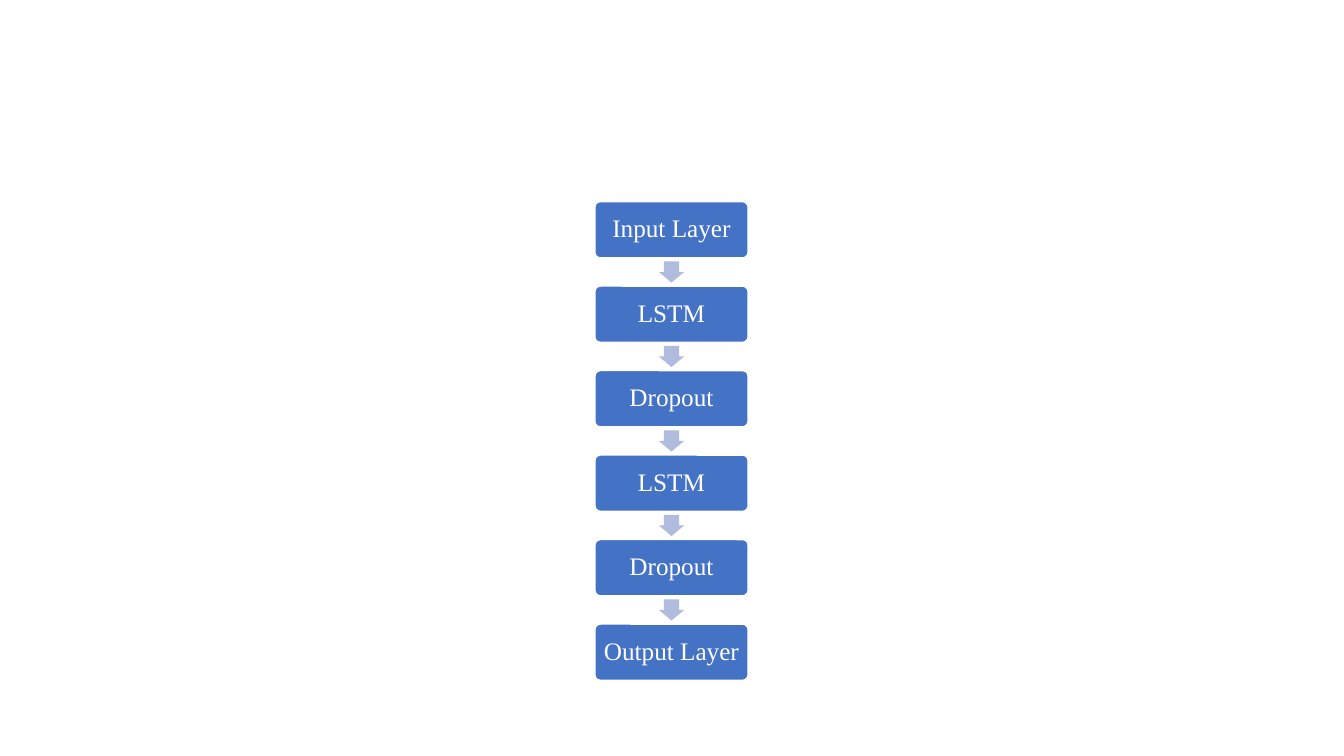
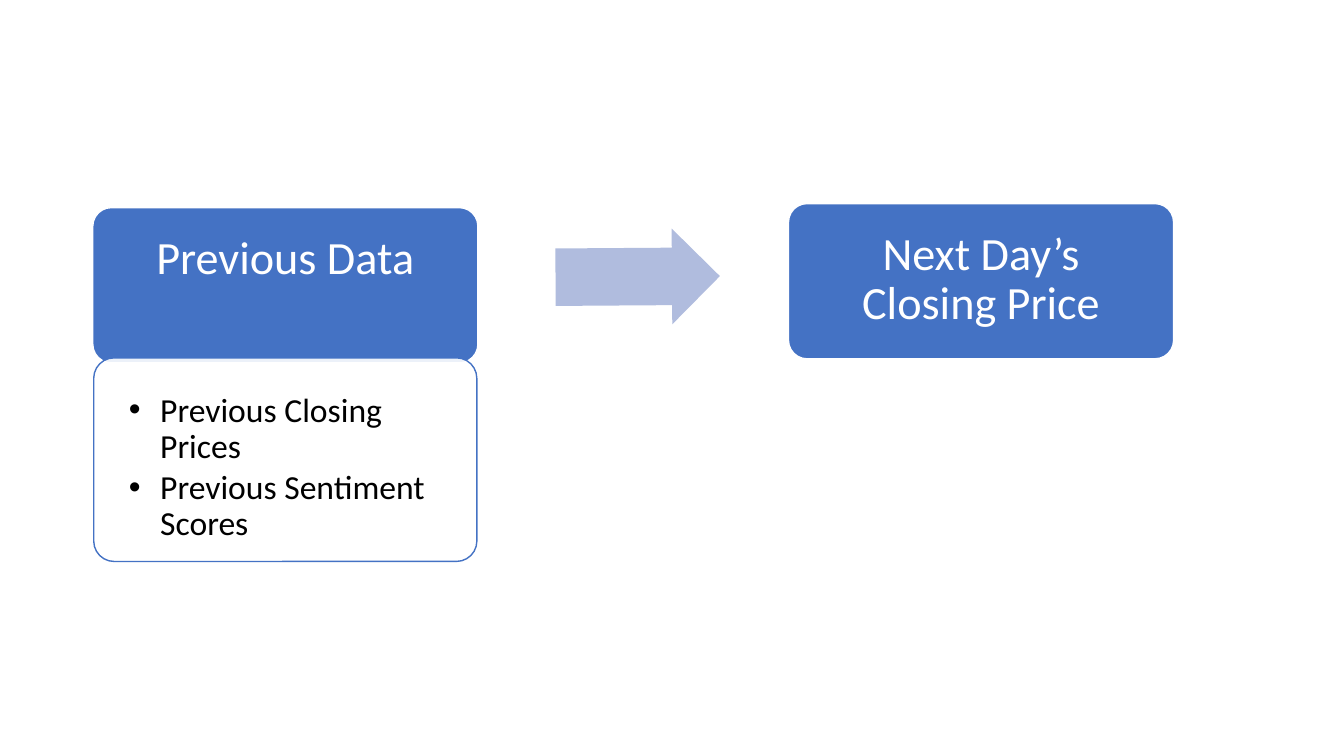
from lxml.etree import SubElement
from pptx import Presentation
from pptx.dml.color import RGBColor
from pptx.enum.shapes import MSO_SHAPE as Preset
from pptx.enum.text import MSO_ANCHOR as Anchor, PP_ALIGN as Align
from pptx.oxml.ns import qn
from pptx.util import Inches, Pt

# Shared look
BLUE, PALE_BLUE, WHITE, BLACK = "4472C4", "B0BCDE", "FFFFFF", "000000"
SERIF, SANS = "Times New Roman", "Calibri"
BLANK_LAYOUT = 6
LINE_SPACING = 0.9


def color(hex_text):
    return RGBColor.from_string(hex_text)


def add_block(slide, preset, box, fill, line=None, adjustments=()):
    """Draw a preset shape in box (left, top, width, height in inches)."""
    shape = slide.shapes.add_shape(preset, *map(Inches, box))
    shape.shadow.inherit = False
    shape.fill.solid()
    shape.fill.fore_color.rgb = color(fill)
    if line:
        shape.line.color.rgb = color(line)
        shape.line.width = Pt(1)
    else:
        shape.line.fill.background()
    for index, value in enumerate(adjustments):
        shape.adjustments[index] = value
    return shape


def set_text(shape, text, font, size, ink=WHITE, align=Align.CENTER,
             anchor=Anchor.MIDDLE, inset=0.05):
    frame = shape.text_frame
    frame.text = text
    frame.word_wrap = True
    frame.vertical_anchor = anchor
    frame.margin_left = frame.margin_right = Inches(inset)
    frame.margin_top = frame.margin_bottom = Inches(inset)
    for paragraph in frame.paragraphs:
        paragraph.alignment = align
        paragraph.line_spacing = LINE_SPACING
        for run in paragraph.runs:
            run.font.name = font
            run.font.size = Pt(size)
            run.font.color.rgb = color(ink)


def add_bullets(shape, indent, space_after):
    for paragraph in shape.text_frame.paragraphs:
        paragraph.space_after = Pt(space_after)
        properties = paragraph._p.get_or_add_pPr()
        properties.set("marL", str(Inches(indent)))
        properties.set("indent", str(-Inches(indent)))
        SubElement(properties, qn("a:buFont")).set("typeface", "Arial")
        SubElement(properties, qn("a:buChar")).set("char", "•")


def set_opacity(shape, percent):
    fill_color = shape.fill._xPr.find(qn("a:solidFill"))[0]
    SubElement(fill_color, qn("a:alpha")).set("val", str(percent * 1000))


def add_layer_stack(slide, box, layers):
    """Stack equal layer boxes, with a down arrow in the middle of each gap."""
    left, top, width, height = box
    gap_share = 0.5
    layer_height = height / (len(layers) + gap_share * (len(layers) - 1))
    gap = layer_height * gap_share
    arrow_width, arrow_height = 0.25, 0.21
    for index, layer in enumerate(layers):
        layer_top = top + index * (layer_height + gap)
        shape = add_block(slide, Preset.ROUNDED_RECTANGLE,
                          (left, layer_top, width, layer_height), BLUE, WHITE, [0.1])
        set_text(shape, layer, SERIF, 18)
        if index:
            add_block(slide, Preset.DOWN_ARROW,
                      (left + (width - arrow_width) / 2,
                       layer_top - (gap + arrow_height) / 2,
                       arrow_width, arrow_height), PALE_BLUE, adjustments=[0.6, 0.5])


def add_heading(slide, box, text):
    shape = add_block(slide, Preset.ROUNDED_RECTANGLE, box, BLUE, WHITE, [0.12])
    set_text(shape, text, SANS, 33, anchor=Anchor.TOP, inset=0.21)


def add_prediction_flow(slide, box, source, details, result):
    """Source heading and its details on the left, arrow, result on the right."""
    left, top, width, height = box
    card_width, heading_height, details_height = 3.82, 1.54, 2.02
    # The source heading sits a little lower than the result
    add_heading(slide, (left, top + 0.04, card_width, heading_height), source)
    details_box = add_block(
        slide, Preset.ROUNDED_RECTANGLE,
        (left + 0.01, top + height - details_height, card_width - 0.02, details_height),
        WHITE, BLUE, [0.1])
    set_opacity(details_box, 90)
    set_text(details_box, "\n".join(details), SANS, 24, BLACK, Align.LEFT,
             Anchor.TOP, inset=0.29)
    add_bullets(details_box, 0.31, 3.6)
    # Arrow between the cards, tilted slightly upwards
    arrow = add_block(slide, Preset.RIGHT_ARROW, (left + 4.59, top + 0.25, 1.63, 0.95),
                      PALE_BLUE, adjustments=[0.6, 0.5])
    arrow.rotation = -0.4
    add_heading(slide, (left + width - card_width, top, card_width, heading_height), result)


def main():
    presentation = Presentation()
    presentation.slide_width = Inches(13.33)
    presentation.slide_height = Inches(7.5)
    blank = presentation.slide_layouts[BLANK_LAYOUT]

    # Network layers
    add_layer_stack(presentation.slides.add_slide(blank), (5.9, 2, 1.52, 4.75),
                    ["Input Layer", "LSTM", "Dropout", "LSTM", "Dropout", "Output Layer"])

    # Prediction from previous data
    add_prediction_flow(presentation.slides.add_slide(blank), (0.92, 2.02, 10.72, 3.55),
                        "Previous Data",
                        ["Previous Closing Prices", "Previous Sentiment Scores"],
                        "Next Day’s Closing Price")
    presentation.save("out.pptx")


if __name__ == "__main__":
    main()
